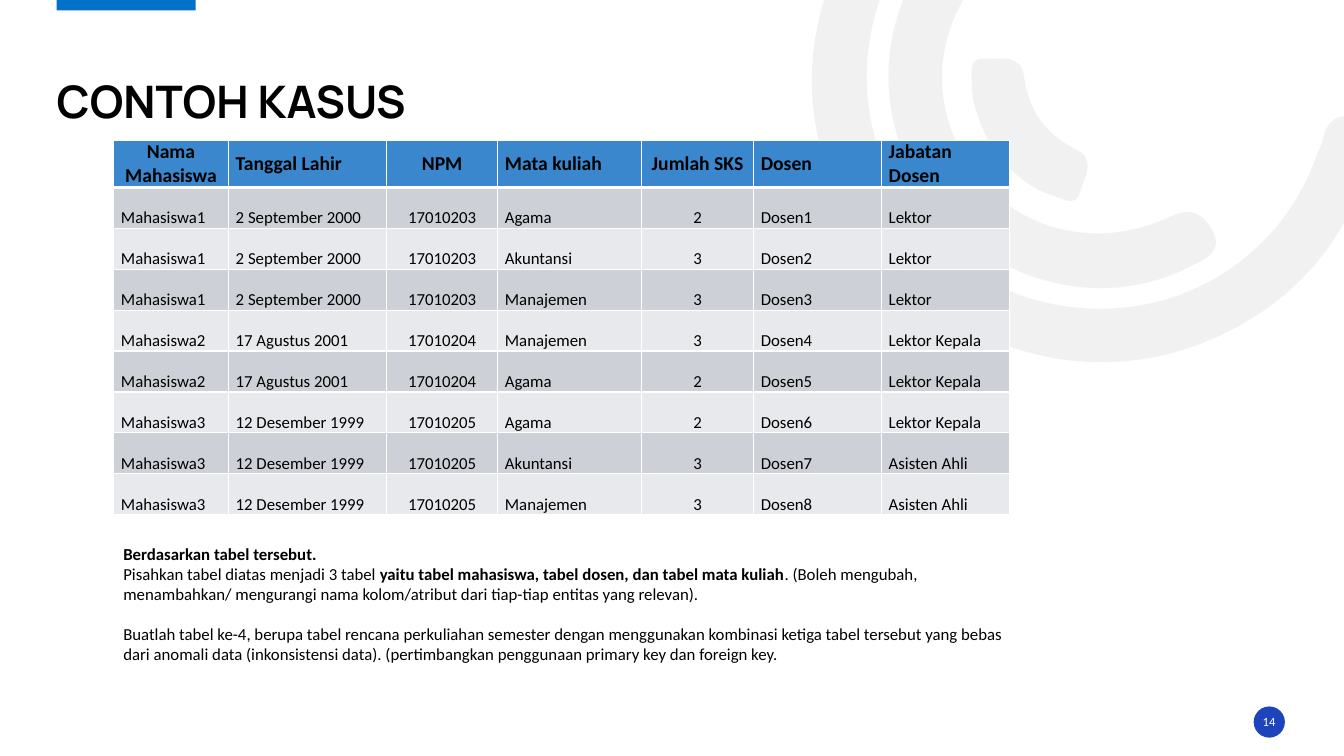
import math

from lxml import etree
from pptx import Presentation
from pptx.dml.color import RGBColor
from pptx.enum import shapes, text
from pptx.oxml import ns
from pptx.util import Pt

BLACK = RGBColor(0x00, 0x00, 0x00)
WHITE = RGBColor(0xFF, 0xFF, 0xFF)
ACCENT = RGBColor(0x00, 0x72, 0xC7)
BADGE = RGBColor(0x1E, 0x44, 0xBC)
RING = RGBColor(0xE7, 0xE6, 0xE6)
HEADER = RGBColor(0x3B, 0x87, 0xCD)
BANDS = (RGBColor(0xCD, 0xD1, 0xD7), RGBColor(0xE8, 0xE9, 0xEC))
LEFT, CENTER = text.PP_ALIGN.LEFT, text.PP_ALIGN.CENTER
MIDDLE, BOTTOM = text.MSO_ANCHOR.MIDDLE, text.MSO_ANCHOR.BOTTOM

prs = Presentation()
prs.slide_width, prs.slide_height = Pt(960), Pt(540)
slide = prs.slides.add_slide(prs.slide_layouts[6])


def paint(sp, color):
    sp.shadow.inherit = False
    sp.fill.solid()
    sp.fill.fore_color.rgb = color
    sp.line.fill.background()


def style(p, size, color=BLACK, bold=False, align=LEFT, font="Calibri"):
    p.alignment = align
    p.font.name, p.font.size, p.font.bold = font, Pt(size), bold
    p.font.color.rgb = color


# Background rings: frame, then a start point and Bezier triples as seen on the slide
rings = [
    ((585.4, -145.4, 349.2, 432),
     [(612.7, 164.9),
      (575.3, 107.3), (566.6, 36), (603.4, -36),
      (640.8, -109.4), (702.7, -146.2), (784.8, -149),
      (795.6, -149), (807.1, -151.2), (814.3, -140.4),
      (823.7, -126), (811.4, -110.9), (790.6, -110.9),
      (696.2, -110.9), (622.8, -42.5), (619.2, 49),
      (616.3, 130.3), (673.9, 202.3), (753.1, 217.4),
      (835.2, 233.3), (914.4, 187.9), (941, 109.4),
      (942.5, 106.6), (943.9, 103.7), (944.6, 100.8),
      (947.5, 85.7), (955.4, 79.9), (971.3, 84.2),
      (988.6, 89.3), (984.2, 101.5), (979.9, 112.3),
      (960.5, 176.4), (920.2, 221), (857.5, 245.5),
      (770.4, 278.6), (673.9, 248.4), (612.7, 164.9)]),
    ((648.7, -56.2, 153.4, 306.7),
     [(663.8, 143.3),
      (620.6, 82.8), (625.7, 5), (676.8, -49),
      (684.7, -56.9), (692.6, -68.4), (705.6, -56.2),
      (716.4, -46.1), (717.8, -36), (704.9, -23),
      (666, 18.7), (662.4, 77.8), (694.8, 121),
      (725.8, 164.9), (783.4, 179.3), (835.9, 154.8),
      (851, 147.6), (859, 152.6), (866.2, 164.9),
      (873.4, 180), (861.8, 184.3), (851.8, 189.4),
      (789.1, 223.2), (707.8, 203), (663.8, 143.3)]),
    ((705.6, 26.6, 56.2, 131.8),
     [(710.6, 108.7),
      (702, 93.6), (694.1, 77), (694.1, 59),
      (694.1, 52.6), (691.9, 41), (702.7, 41.8),
      (714.2, 42.5), (729.4, 38.2), (731.5, 54.7),
      (735.1, 79.2), (745.9, 95), (768.2, 106.6),
      (783.4, 113), (774.7, 126.7), (771.8, 136.1),
      (769, 148.3), (759.6, 142.6), (752.4, 139.7),
      (735.1, 134.6), (722.2, 122.4), (710.6, 108.7)]),
]
TURN = 144.2
cos, sin = math.cos(math.radians(TURN)), math.sin(math.radians(TURN))
for (left, top, width, height), ring in rings:
    # Turn the outline back, so that the shape itself can carry the rotation
    cx, cy = left + width / 2, top + height / 2
    points = [(Pt(cx + (x - cx) * cos + (y - cy) * sin),
               Pt(cy - (x - cx) * sin + (y - cy) * cos)) for x, y in ring]
    builder = slide.shapes.build_freeform(*points[0])
    builder.add_line_segments(points[1:], close=True)
    sp = builder.convert_to_shape()
    outline = sp._element.find(".//" + ns.qn("a:path"))
    dx, dy = sp.left - Pt(left), sp.top - Pt(top)
    for pt in outline.iter(ns.qn("a:pt")):
        pt.set("x", str(int(pt.get("x")) + dx))
        pt.set("y", str(int(pt.get("y")) + dy))
    # Three line ends make one curve
    lines = outline.findall(ns.qn("a:lnTo"))
    for i in range(0, len(lines), 3):
        curve = etree.Element(ns.qn("a:cubicBezTo"))
        lines[i].addprevious(curve)
        for line in lines[i:i + 3]:
            curve.append(line[0])
            outline.remove(line)
    outline.set("w", str(Pt(width)))
    outline.set("h", str(Pt(height)))
    sp.left, sp.top, sp.width, sp.height = map(Pt, (left, top, width, height))
    sp.rotation = TURN
    paint(sp, RING)
    srgb = sp._element.spPr.find(".//" + ns.qn("a:srgbClr"))
    etree.SubElement(srgb, ns.qn("a:alpha"), val="53000")

# Accent bar and page badge
for kind, box, color, turn in (
    (shapes.MSO_SHAPE.RECTANGLE, (40.5, -1.4, 99.3, 8.8), ACCENT, 180),
    (shapes.MSO_SHAPE.OVAL, (895.5, 504.6, 22.3, 22.3), BADGE, 0),
):
    sp = slide.shapes.add_shape(kind, *map(Pt, box))
    paint(sp, color)
    sp.rotation = turn

# Page number and title
for label, box, anchor, spacing, look in (
    ("14", (895, 508.3, 23, 14.4), MIDDLE, 1.0, dict(size=9, color=WHITE, align=CENTER)),
    ("CONTOH KASUS", (40.5, 19.2, 877.7, 72.5), BOTTOM, 0.9,
     dict(size=32, bold=True, font="Manrope")),
):
    tf = slide.shapes.add_textbox(*map(Pt, box)).text_frame
    tf.word_wrap = True
    tf.margin_left = tf.margin_right = tf.margin_top = tf.margin_bottom = 0
    tf.vertical_anchor = anchor
    p = tf.paragraphs[0]
    p.text = label
    p.line_spacing = spacing
    style(p, **look)

# Assignment text
tf = slide.shapes.add_textbox(Pt(81), Pt(384.5), Pt(648), Pt(94.3)).text_frame
tf.word_wrap = True
tf.auto_size = text.MSO_AUTO_SIZE.SHAPE_TO_FIT_TEXT
tasks = [
    [("Berdasarkan tabel tersebut.", True)],
    [("Pisahkan tabel diatas menjadi 3 tabel ", False),
     ("yaitu tabel mahasiswa, tabel dosen, dan tabel mata kuliah", True),
     (". (Boleh mengubah, menambahkan/ mengurangi nama kolom/atribut dari tiap-tiap "
      "entitas yang relevan).", False)],
    [("Buatlah tabel ke-4, berupa tabel rencana perkuliahan semester dengan menggunakan "
      "kombinasi ketiga tabel tersebut yang bebas dari anomali data (inkonsistensi data). "
      "(pertimbangkan penggunaan primary key dan foreign key.", False)],
]
for i, runs in enumerate(tasks):
    p = tf.paragraphs[0] if i == 0 else tf.add_paragraph()
    style(p, 12)
    for words, bold in runs:
        r = p.add_run()
        r.text, r.font.bold = words, bold
p.space_before = Pt(14.4)

# Course table
students = {
    "Mahasiswa1": ("2 September 2000", "17010203"),
    "Mahasiswa2": ("17 Agustus 2001", "17010204"),
    "Mahasiswa3": ("12 Desember 1999", "17010205"),
}
courses = [
    ("Mahasiswa1", "Agama", "2", "Lektor"),
    ("Mahasiswa1", "Akuntansi", "3", "Lektor"),
    ("Mahasiswa1", "Manajemen", "3", "Lektor"),
    ("Mahasiswa2", "Manajemen", "3", "Lektor Kepala"),
    ("Mahasiswa2", "Agama", "2", "Lektor Kepala"),
    ("Mahasiswa3", "Agama", "2", "Lektor Kepala"),
    ("Mahasiswa3", "Akuntansi", "3", "Asisten Ahli"),
    ("Mahasiswa3", "Manajemen", "3", "Asisten Ahli"),
]
rows = [("Nama Mahasiswa", "Tanggal Lahir", "NPM", "Mata kuliah", "Jumlah SKS",
         "Dosen", "Jabatan Dosen")]
for n, (name, course, credits, rank) in enumerate(courses, 1):
    rows.append((name, *students[name], course, credits, f"Dosen{n}", rank))
widths = (82, 113, 79.3, 102.9, 79.9, 91.4, 91.4)
ROW_HEIGHT = 29.25
table = slide.shapes.add_table(len(rows), len(widths), Pt(81.2), Pt(100.2),
                               Pt(sum(widths)), Pt(ROW_HEIGHT * len(rows))).table
for column, width in zip(table.columns, widths):
    column.width = Pt(width)
for i, row in enumerate(rows):
    table.rows[i].height = Pt(ROW_HEIGHT)
    for j, value in enumerate(row):
        cell = table.cell(i, j)
        cell.margin_left = cell.margin_right = Pt(5.2)
        cell.margin_top = cell.margin_bottom = 0
        cell.vertical_anchor = BOTTOM if i else MIDDLE
        # White borders, heavier under the header
        for side in "LRTB":
            heavy = (i, side) in ((0, "B"), (1, "T"))
            line = etree.SubElement(cell._tc.get_or_add_tcPr(), ns.qn("a:ln" + side),
                                    w=str(Pt(3 if heavy else 1)))
            fill = etree.SubElement(line, ns.qn("a:solidFill"))
            etree.SubElement(fill, ns.qn("a:srgbClr"), val=str(WHITE))
        cell.fill.solid()
        cell.fill.fore_color.rgb = BANDS[(i - 1) % 2] if i else HEADER
        p = cell.text_frame.paragraphs[0]
        p.text = value
        centered = j in (2, 4) or (i, j) == (0, 0)
        style(p, 12 if i else 14, bold=i == 0, align=CENTER if centered else LEFT)

prs.save("out.pptx")
